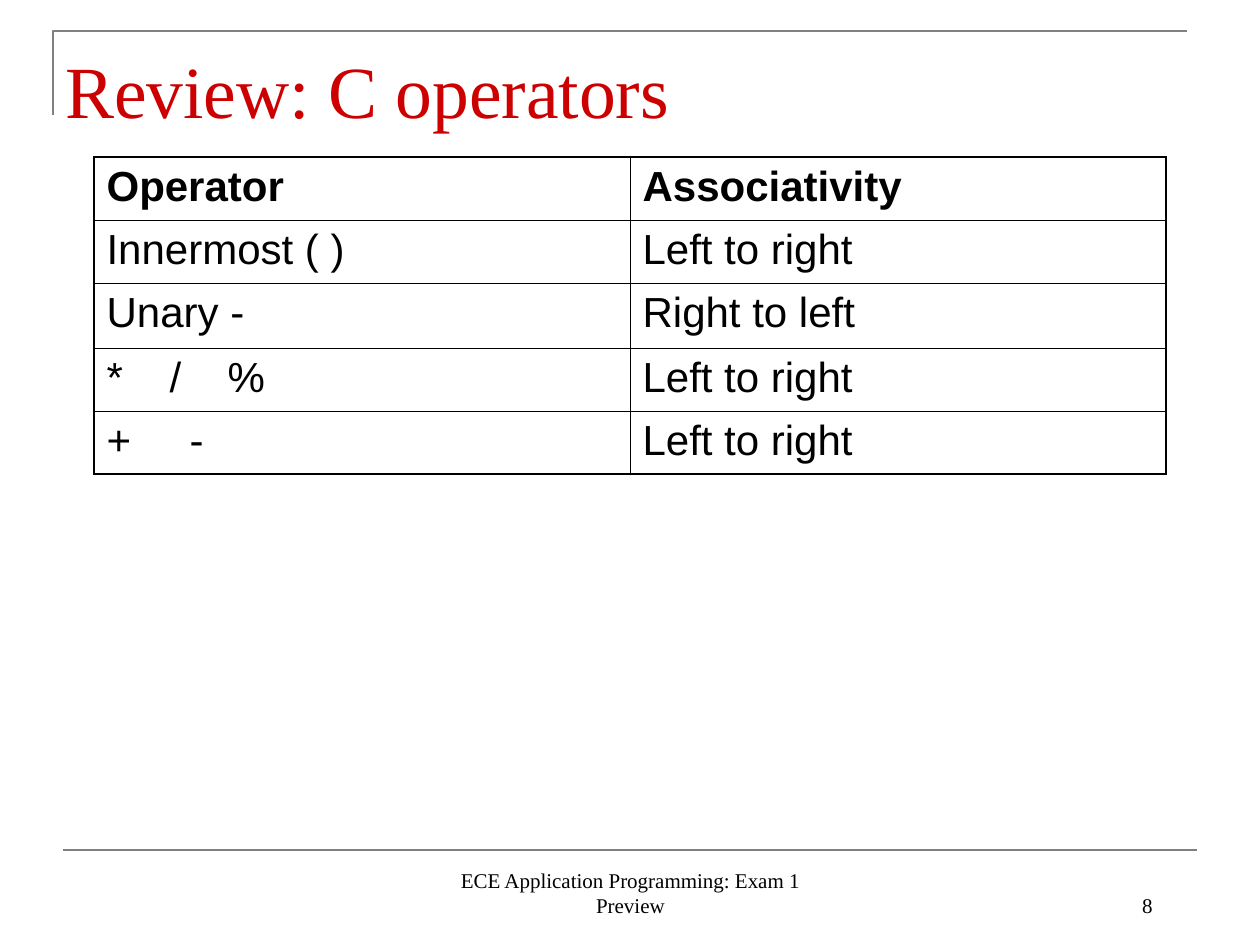
from lxml import etree
from pptx import Presentation
from pptx import util as u
from pptx.dml.color import RGBColor
from pptx.enum import shapes, text
from pptx.oxml import ns

SCALE = 914400 / 126  # EMU per px
COLORS = {"title": "CC0000", "rule": "808080", "ink": "000000", "paper": "FFFFFF"}
SERIF, SANS = "Times New Roman", "Arial"

# Operator cells hold one or more symbols, set apart by tab stops (px)
ROWS = [
    (["Operator"], "Associativity", []),
    (["Innermost ( )"], "Left to right", []),
    (["Unary -"], "Right to left", []),
    (["*", "/", "%"], "Left to right", [63, 121]),
    (["+", "-"], "Left to right", [83]),
]
ROW_HEIGHTS = [63, 63, 65, 63, 63]
OUTER, INNER = 1.08, 0.45  # border widths in points


def px(value):
    return u.Emu(round(value * SCALE))


def color(name):
    return RGBColor.from_string(COLORS[name])


def add_run(paragraph, words, size, font, ink="ink", bold=False):
    run = paragraph.add_run()
    run.text = words
    run.font.size = u.Pt(size)
    run.font.name = font
    run.font.bold = bold
    run.font.color.rgb = color(ink)


def add_text(slide, box, words, size, anchor, align, ink="ink"):
    shape = slide.shapes.add_textbox(*map(px, box))
    frame = shape.text_frame
    frame.word_wrap = True
    frame.vertical_anchor = anchor
    paragraph = frame.paragraphs[0]
    paragraph.alignment = align
    add_run(paragraph, words, size, SERIF, ink)


def style_rule(shape):
    shape.line.color.rgb = color("rule")
    shape.line.width = u.Pt(1.5)


def add_header(slide, box):
    left, top, width, height = box
    # Corner bracket
    builder = slide.shapes.build_freeform(left, top + 84, scale=SCALE)
    builder.add_line_segments([(left, top), (left + width, top)], close=False)
    bracket = builder.convert_to_shape()
    bracket.shadow.inherit = False
    bracket.fill.background()
    style_rule(bracket)
    # Title
    add_text(slide, (left, top, 1071, height), "Review: C operators", 42,
             text.MSO_ANCHOR.MIDDLE, text.PP_ALIGN.LEFT, "title")


def set_borders(cell, widths):
    properties = cell._tc.get_or_add_tcPr()
    for index, (side, width) in enumerate(zip("LRTB", widths)):
        line = etree.Element(ns.qn(f"a:ln{side}"), w=str(u.Pt(width)))
        fill = etree.SubElement(line, ns.qn("a:solidFill"))
        etree.SubElement(fill, ns.qn("a:srgbClr"), val=COLORS["ink"])
        properties.insert(index, line)


def set_tabs(paragraph, stops):
    tabs = etree.SubElement(paragraph._p.get_or_add_pPr(), ns.qn("a:tabLst"))
    for stop in stops:
        etree.SubElement(tabs, ns.qn("a:tab"), pos=str(px(stop)), algn="l")


def add_operator_table(slide, box):
    table = slide.shapes.add_table(len(ROWS), 2, *map(px, box)).table
    table.first_row = table.horz_banding = False
    for column in table.columns:
        column.width = px(box[2] / 2)
    last = len(ROWS) - 1
    for r, (symbols, associativity, stops) in enumerate(ROWS):
        table.rows[r].height = px(ROW_HEIGHTS[r])
        for c, words in enumerate(["\t".join(symbols), associativity]):
            cell = table.cell(r, c)
            cell.fill.background()
            edges = [c == 0, c == 1, r == 0, r == last]
            set_borders(cell, [OUTER if edge else INNER for edge in edges])
            paragraph = cell.text_frame.paragraphs[0]
            if c == 0 and stops:
                set_tabs(paragraph, stops)
            add_run(paragraph, words, 24, SANS, bold=r == 0)


def add_footer(slide, box):
    left, top, width, height = box
    # Rule above the footer
    rule = slide.shapes.add_connector(
        shapes.MSO_CONNECTOR.STRAIGHT, px(left), px(top), px(left + width), px(top))
    style_rule(rule)
    etree.SubElement(rule._element.spPr, ns.qn("a:effectLst"))
    # Slide number and course name
    bottom = text.MSO_ANCHOR.BOTTOM
    add_text(slide, (left + 840, top + 11, 262, height - 11), "8", 12,
             bottom, text.PP_ALIGN.RIGHT)
    add_text(slide, (left + 368, top + 11, 399, height - 11),
             "ECE Application Programming: Exam 1 Preview", 12,
             bottom, text.PP_ALIGN.CENTER)


def main():
    presentation = Presentation()
    presentation.slide_width, presentation.slide_height = px(1260), px(945)
    slide = presentation.slides.add_slide(presentation.slide_layouts[6])
    slide.background.fill.solid()
    slide.background.fill.fore_color.rgb = color("paper")
    add_header(slide, (53, 31, 1134, 116))
    add_operator_table(slide, (94, 157, 1072, sum(ROW_HEIGHTS)))
    add_footer(slide, (63, 850, 1134, 74))
    presentation.save("out.pptx")


if __name__ == "__main__":
    main()
